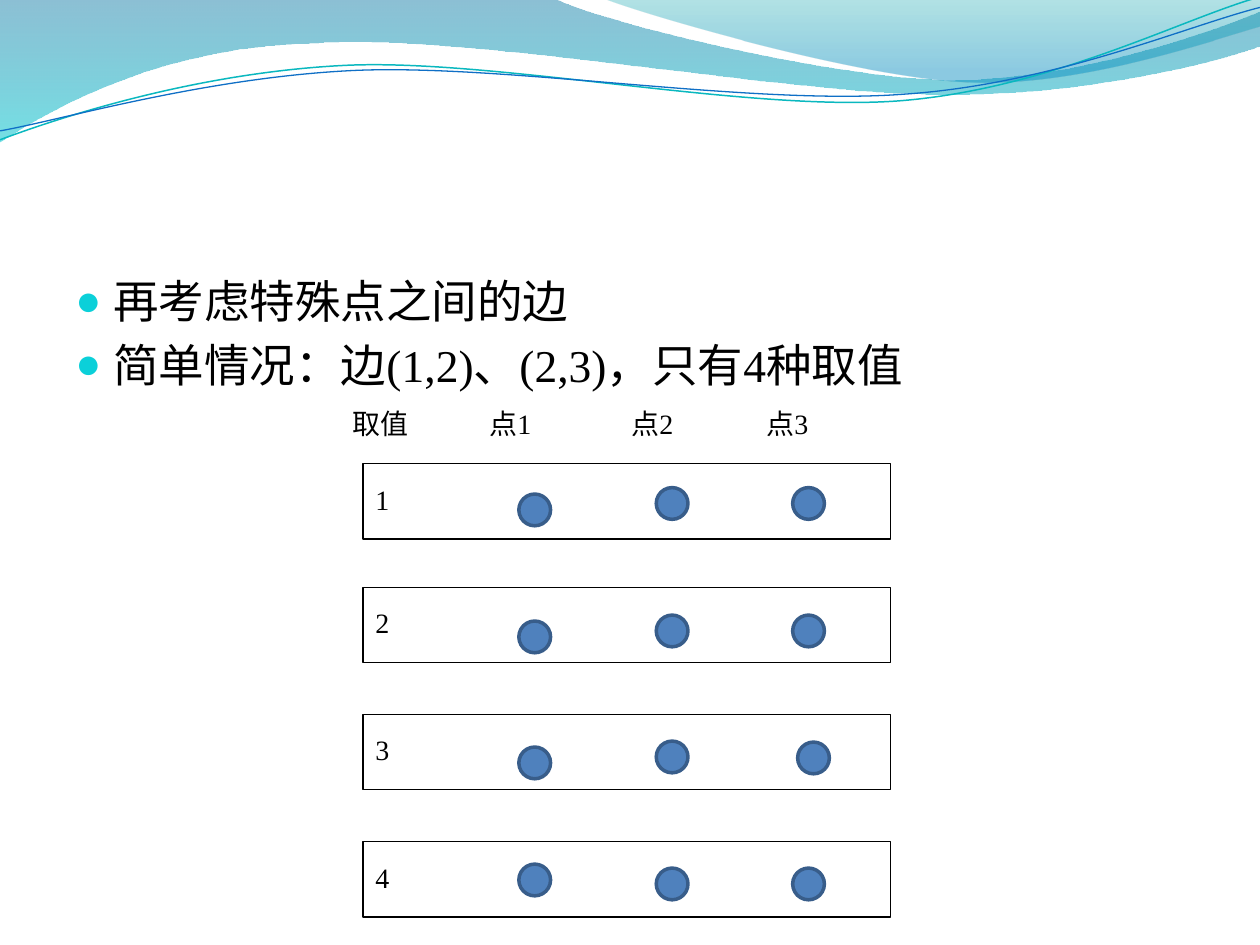
"""Build a slide listing four values of the edges between special points."""
import pptx
import pptx.util
import pptx.dml.color
import pptx.enum.shapes
import pptx.oxml
import pptx.oxml.ns
from pptx.util import Cm, Pt

THEME = dict(font="Times New Roman", ink="000000", dot="4F81BD", rim="385D8A",
             bullet="0BD0D9", body=26, label=16)
POINTS = ["再考虑特殊点之间的边", "简单情况：边(1,2)、(2,3)，只有4种取值"]
HEADS = [("取值", 6.86), ("点1", 9.62), ("点2", 12.48), ("点3", 15.2)]
ROWS = [
    ("1", 9.35, [(10.46, 0.61), (13.23, 0.48), (15.98, 0.48)]),
    ("2", 11.84, [(10.46, 0.68), (13.23, 0.56), (15.98, 0.56)]),
    ("3", 14.4, [(10.46, 0.66), (13.23, 0.54), (16.08, 0.56)]),
    ("4", 16.97, [(10.46, 0.45), (13.23, 0.53), (15.98, 0.53)]),
]
BANDS = [
    ([(0, "0074A1", 45), (100, "00C6CF", 55)], (-0.03, -0.03, 25.45, 2.9), (0, 0),
     [(11.18, -0.03), (12.09, 0.43, 16.87, 1.6, 19.25, 1.6),
      (21.67, 1.6, 24.33, 0.66, 25.4, 0.23), (25.43, 0.91),
      (24.97, 1.12, 22.1, 1.93, 18.95, 1.9), (15.8, 1.9, 9.7, 0.71, 6.53, 0.86),
      (3.28, 0.91, 1.17, 2.11, -0.03, 2.87)]),
    ([(0, "00A1A9", 30), (80, "008BBF", 45)], (12.17, -0.03, 13.23, 1.78),
     (12.17, -0.03),
     [(12.93, 0.28, 17.32, 1.57, 19.53, 1.65),
      (21.74, 1.75, 24.41, 0.81, 25.4, 0.53), (25.4, 0)]),
]
CURVES = [
    ("0AB8BF", 0.85, (-0.05, 0.56, 25.45, 1.8), (-0.05, 2.22),
     [(1.19, 1.82, 4.02, 1.04, 7.05, 1.05), (10.05, 1.07, 15.02, 2.37, 18.08, 2.29),
      (21.13, 2.2, 23.86, 0.91, 25.41, 0.55)]),
    ("0F6FC6", 0.75, (-0.05, 0.76, 25.48, 1.47), (-0.04, 2.04),
     [(1.16, 1.89, 4.17, 1.15, 7.2, 1.16), (10.25, 1.18, 15.13, 2.25, 18.19, 2.16),
      (21.22, 2.1, 23.93, 1.06, 25.45, 0.75)]),
]
TILT = 357.3

deck = pptx.Presentation()
deck.slide_width, deck.slide_height = Cm(25.4), Cm(19.05)
slide = deck.slides.add_slide(deck.slide_layouts[6])
shapes = slide.shapes
KIND = pptx.enum.shapes.MSO_SHAPE
SPACE = pptx.oxml.ns.nsdecls("a")
qn = pptx.oxml.ns.qn


def color(code):
    return pptx.dml.color.RGBColor.from_string(code)


def outline(box, start, parts, close):
    """Draw a freeform of straight and cubic parts inside a box."""
    pen = shapes.build_freeform(*map(Cm, start))
    pen.add_line_segments([tuple(map(Cm, part[-2:])) for part in parts], close=close)
    shape = pen.convert_to_shape()
    shape.shadow.inherit = False
    left, top, wide, high = map(Cm, box)
    shape.left, shape.top, shape.width, shape.height = left, top, wide, high

    def knots(part):
        return "".join(f'<a:pt x="{Cm(x) - left}" y="{Cm(y) - top}"/>'
                       for x, y in zip(part[::2], part[1::2]))

    marks = f"<a:moveTo>{knots(start)}</a:moveTo>"
    for part in parts:
        tag = "lnTo" if len(part) == 2 else "cubicBezTo"
        marks += f"<a:{tag}>{knots(part)}</a:{tag}>"
    marks += "<a:close/>" if close else ""
    old = next(shape._element.iter(qn("a:path")))
    old.getparent().replace(old, pptx.oxml.parse_xml(
        f'<a:path {SPACE} w="{wide}" h="{high}">{marks}</a:path>'))
    return shape


def shade(shape, stops):
    """Fill a shape with a see-through gradient from top to bottom."""
    marks = "".join(
        f'<a:gs pos="{pos * 1000}"><a:srgbClr val="{code}">'
        f'<a:alpha val="{alpha * 1000}"/></a:srgbClr></a:gs>'
        for pos, code, alpha in stops)
    fill = pptx.oxml.parse_xml(
        f'<a:gradFill {SPACE} rotWithShape="1"><a:gsLst>{marks}</a:gsLst>'
        '<a:lin ang="5400000" scaled="0"/></a:gradFill>')
    shape.fill.background()
    old = shape._element.spPr.find(qn("a:noFill"))
    old.getparent().replace(old, fill)


def figure(kind, box, fill, line, width):
    shape = shapes.add_shape(kind, *map(Cm, box))
    shape.shadow.inherit = False
    if fill:
        shape.fill.solid()
        shape.fill.fore_color.rgb = color(fill)
    else:
        shape.fill.background()
    shape.line.color.rgb = color(line)
    shape.line.width = Pt(width)


def write(box, lines, size):
    frame = shapes.add_textbox(*map(Cm, box)).text_frame
    frame.word_wrap = True
    frame.text = "\n".join(lines)
    for para in frame.paragraphs:
        para.font.name = THEME["font"]
        para.font.size = Pt(size)
        para.font.color.rgb = color(THEME["ink"])
    return frame.paragraphs


def bullet(para):
    para.space_before = Pt(THEME["body"] * 0.2)
    props = para._p.get_or_add_pPr()
    props.set("marL", str(Cm(0.76)))
    props.set("indent", str(Cm(-0.76)))
    marks = [f'<a:buClr {SPACE}><a:srgbClr val="{THEME["bullet"]}"/></a:buClr>',
             f'<a:buSzPct {SPACE} val="95000"/>',
             f'<a:buFont {SPACE} typeface="{THEME["font"]}"/>',
             f'<a:buChar {SPACE} char="●"/>']
    spot = props.index(props.find(qn("a:spcBef"))) + 1
    for shift, mark in enumerate(marks):
        props.insert(spot + shift, pptx.oxml.parse_xml(mark))


for stops, box, start, parts in BANDS:
    band = outline(box, start, parts, True)
    shade(band, stops)
    band.line.fill.background()

for code, width, box, start, parts in CURVES:
    curve = outline(box, start, parts, False)
    curve.rotation = TILT
    curve.fill.background()
    curve.line.color.rgb = color(code)
    curve.line.width = Pt(width)

for para in write((1.27, 5.38, 22.86, 12.19), POINTS, THEME["body"]):
    bullet(para)

for head, left in HEADS:
    write((left, 8.08, 2.06, 1.27), [head], THEME["label"])

for label, top, dots in ROWS:
    figure(KIND.RECTANGLE, (7.32, top, 10.64, 1.52), None, THEME["ink"], 0.75)
    write((7.32, top + 0.25, 1.27, 1.27), [label], THEME["label"])
    for left, drop in dots:
        figure(KIND.OVAL, (left, top + drop, 0.64, 0.64), THEME["dot"], THEME["rim"], 2)

deck.save("out.pptx")
